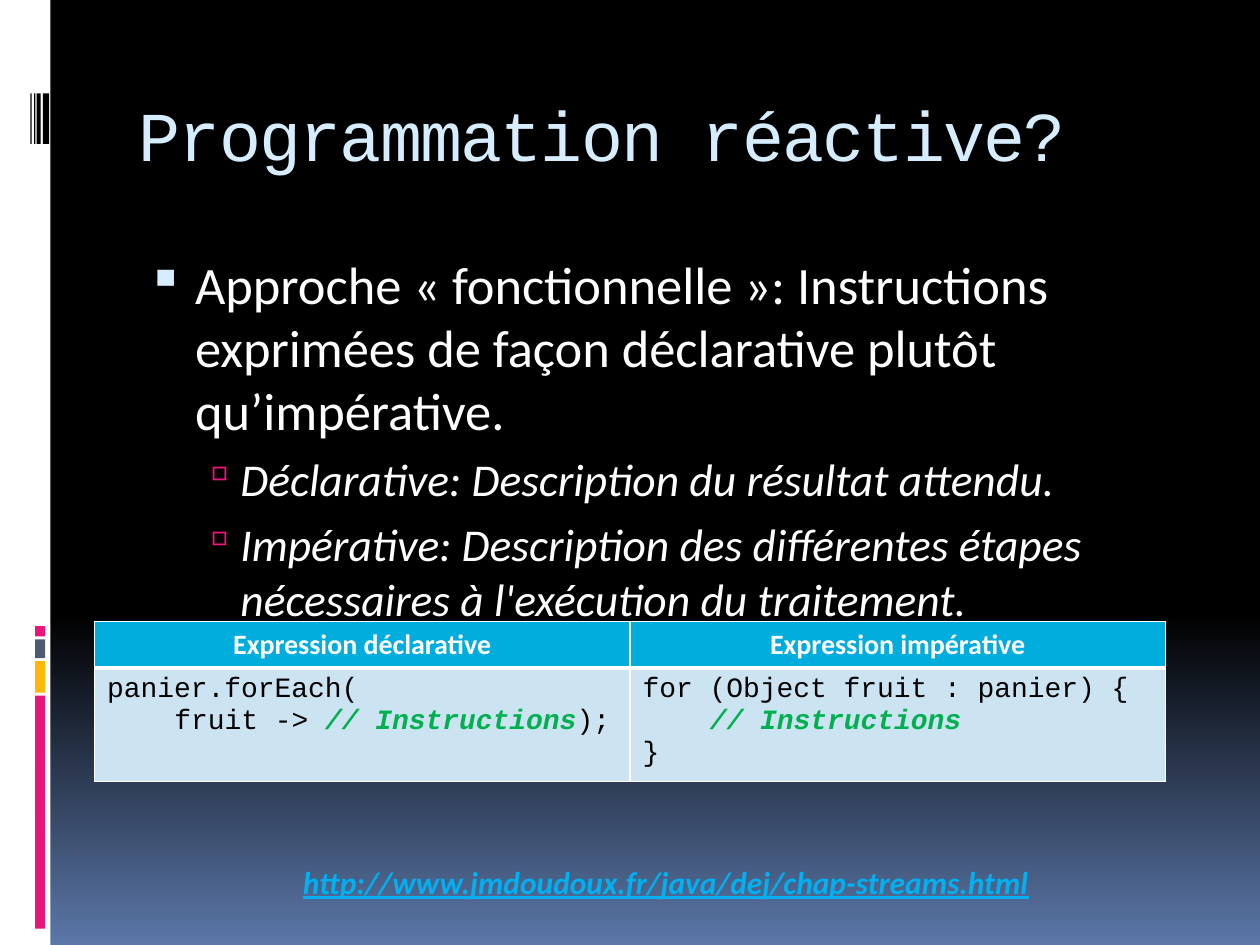
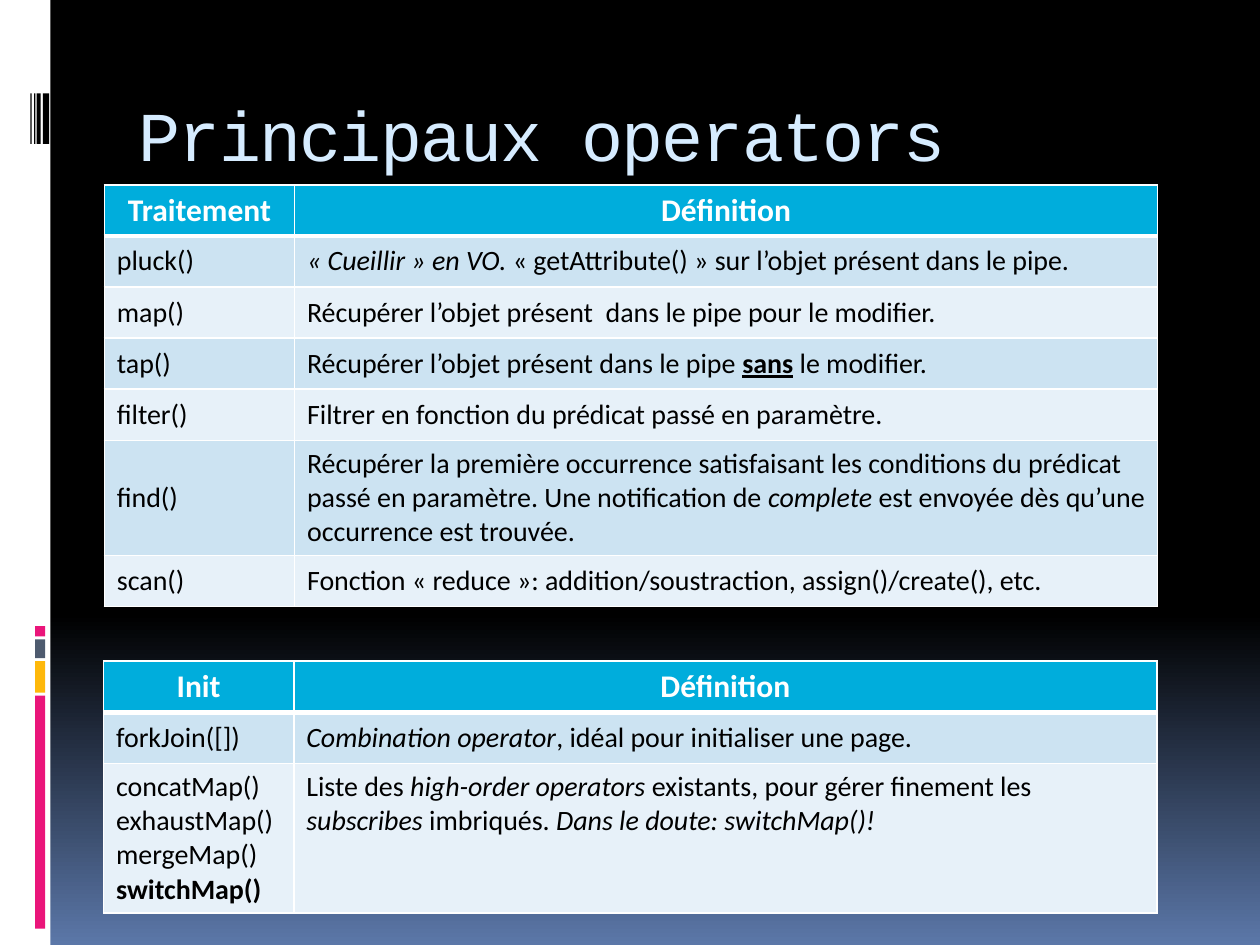
from dataclasses import dataclass
from typing import NamedTuple

from lxml.etree import SubElement
from pptx import Presentation
from pptx.dml.color import RGBColor
from pptx.enum.shapes import MSO_SHAPE
from pptx.enum.text import MSO_ANCHOR, MSO_AUTO_SIZE, PP_ALIGN
from pptx.oxml.ns import qn
from pptx.util import Pt


@dataclass(frozen=True)
class Theme:
    # Colours
    black: str = "000000"
    white: str = "FFFFFF"
    dusk: str = "5B77A8"
    ice: str = "D6ECFF"
    pink: str = "EA157A"
    amber: str = "FEB80A"
    slate: str = "4E5B6F"
    header: str = "00ADDC"
    rows: tuple = ("CCE3F2", "E7F1F9")
    comment: str = "00B050"
    link: str = "00B0F0"
    # Fonts and sizes
    text_font: str = "Calibri"
    code_font: str = "Courier New"
    title_size: float = 40
    point_size: float = 30
    detail_size: float = 26
    heading_size: float = 18
    cell_size: float = 16


class Box(NamedTuple):
    left: float
    top: float
    width: float
    height: float


THEME = Theme()
SLIDE = Box(0, 0, 720, 540)
TITLE = Box(72, 40.3, 612, 72)
ITALIC = {"italic": True}
BOLD = {"bold": True}
COMMENT = {"bold": True, "italic": True, "color": THEME.comment}
ROW_HEIGHT = 29.2
OPERATOR_COLUMNS = (108.7, 493.2)


def rgb(value):
    return RGBColor.from_string(value)


def points(box):
    return [Pt(length) for length in box]


def write(paragraph, pieces, align=PP_ALIGN.LEFT, before=0, indent=0, hanging=0,
          bullet=None, **base):
    """Write a string, or a list of strings and (string, format) pairs."""
    paragraph.alignment = align
    paragraph.space_before = Pt(before)
    properties = paragraph._p.get_or_add_pPr()
    properties.set("marL", str(Pt(indent)))
    properties.set("indent", str(Pt(-hanging)))
    if bullet:
        sign, color, percent = bullet
        tint = SubElement(properties, qn("a:buClr"))
        SubElement(tint, qn("a:srgbClr")).set("val", color)
        SubElement(properties, qn("a:buSzPct")).set("val", str(percent * 1000))
        SubElement(properties, qn("a:buChar")).set("char", sign)
    else:
        SubElement(properties, qn("a:buNone"))
    for piece in [pieces] if isinstance(pieces, str) else pieces:
        text, changes = (piece, {}) if isinstance(piece, str) else piece
        look = {"font": THEME.text_font, "color": THEME.white, **base, **changes}
        run = paragraph.add_run()
        run.text = text
        run.font.name = look["font"]
        run.font.size = Pt(look["size"])
        run.font.color.rgb = rgb(look["color"])
        run.font.bold = look.get("bold", False)
        run.font.italic = look.get("italic", False)
        run.font.underline = look.get("underline", False)
        if "spacing" in look:
            run._r.get_or_add_rPr().set("spc", str(look["spacing"] * 100))


def paragraphs_of(frame, count):
    return [frame.paragraphs[0], *(frame.add_paragraph() for _ in range(count - 1))]


def add_bar(slide, box, color):
    bar = slide.shapes.add_shape(MSO_SHAPE.RECTANGLE, *points(box))
    bar.shadow.inherit = False
    bar.fill.solid()
    bar.fill.fore_color.rgb = rgb(color)
    bar.line.fill.background()


def add_side_band(slide, box):
    add_bar(slide, box, THEME.white)
    # Coloured blocks, stacked downwards
    top, gap = box.top + 357.8, 1.7
    for color, height in ((THEME.pink, 5.8), (THEME.slate, 10.8),
                          (THEME.amber, 18), (THEME.pink, 133.2)):
        add_bar(slide, Box(box.left + 20, top, 5.8, height), color)
        top += height + gap
    # Barcode
    for offset, width in ((17.4, 0.7), (19.5, 0.7), (21, 2.2), (24.5, 3.6)):
        add_bar(slide, Box(box.left + offset, box.top + 53.4, width, 28.8), THEME.black)


def add_titled_slide(deck, heading):
    slide = deck.slides.add_slide(deck.slide_layouts[5])
    add_side_band(slide, SLIDE._replace(width=28.8))
    title = slide.shapes.title
    title.left, title.top, title.width, title.height = points(TITLE)
    frame = title.text_frame
    frame.word_wrap = True
    frame.auto_size = MSO_AUTO_SIZE.NONE
    frame.vertical_anchor = MSO_ANCHOR.MIDDLE
    write(frame.paragraphs[0], heading, font=THEME.code_font, size=THEME.title_size,
          color=THEME.ice, spacing=-1)
    return slide


def add_text_frame(slide, box):
    frame = slide.shapes.add_textbox(*points(box)).text_frame
    frame.word_wrap = True
    return frame


def add_points(slide, box, point, details):
    lines = paragraphs_of(add_text_frame(slide, box), 1 + len(details))
    write(lines[0], point, indent=32.4, hanging=27.4, size=THEME.point_size,
          bullet=("▪", THEME.ice, 95))
    for line, detail in zip(lines[1:], details):
        write(line, detail, before=6, indent=58.3, hanging=22.3, italic=True,
              size=THEME.detail_size, bullet=("▫", THEME.pink, 90))


def add_link_line(slide, box, address):
    frame = add_text_frame(slide, box)
    frame.margin_top = frame.margin_bottom = 0
    write(frame.paragraphs[0], address, align=PP_ALIGN.CENTER, size=THEME.heading_size,
          color=THEME.link, bold=True, italic=True, underline=True)


def style_cell(cell, fill, top, bottom):
    properties = cell._tc.get_or_add_tcPr()
    for side, width in (("L", 1), ("R", 1), ("T", top), ("B", bottom)):
        border = SubElement(properties, qn(f"a:ln{side}"), w=str(Pt(width)))
        paint = SubElement(border, qn("a:solidFill"))
        SubElement(paint, qn("a:srgbClr")).set("val", THEME.white)
    cell.fill.solid()
    cell.fill.fore_color.rgb = rgb(fill)


def add_grid(slide, left, top, widths, heights, headings, rows, fill_cell,
             heading_size=THEME.heading_size):
    """Add a table; fill_cell writes the content of each body cell."""
    box = Box(left, top, sum(widths), sum(heights))
    table = slide.shapes.add_table(len(heights), len(widths), *points(box)).table
    table.horz_banding = False
    for column, width in zip(table.columns, widths):
        column.width = Pt(width)
    for number, (row, height) in enumerate(zip(table.rows, heights)):
        row.height = Pt(height)
        for index, cell in enumerate(row.cells):
            if number == 0:
                style_cell(cell, THEME.header, 1, 3)
                cell.vertical_anchor = MSO_ANCHOR.MIDDLE
                write(cell.text_frame.paragraphs[0], headings[index], bold=True,
                      align=PP_ALIGN.CENTER, size=heading_size)
            else:
                style_cell(cell, THEME.rows[(number - 1) % 2], 3 if number == 1 else 1, 1)
                fill_cell(cell, rows[number - 1][index])


def fill_code(cell, lines):
    """Write code lines given as (indent level, pieces)."""
    for paragraph, (level, pieces) in zip(paragraphs_of(cell.text_frame, len(lines)), lines):
        write(paragraph, pieces, indent=level * 38.4, font=THEME.code_font,
              size=THEME.cell_size, color=THEME.black)


def fill_definition(cell, lines):
    """Write one paragraph per item; long lists of names set the row's height."""
    cell.vertical_anchor = MSO_ANCHOR.MIDDLE
    for paragraph, pieces in zip(paragraphs_of(cell.text_frame, len(lines)), lines):
        write(paragraph, pieces, size=THEME.cell_size, color=THEME.black)


def fill_init(cell, lines):
    fill_definition(cell, lines)
    if len(lines[0]) > 2 and not isinstance(lines[0], str):
        cell.vertical_anchor = MSO_ANCHOR.TOP


def build_reactive_slide(deck):
    slide = add_titled_slide(deck, "Programmation réactive?")
    add_points(
        slide, Box(72, 140.4, 612, 215),
        "Approche « fonctionnelle »: Instructions exprimées de façon déclarative "
        "plutôt qu’impérative.",
        ["Déclarative: Description du résultat attendu.",
         "Impérative: Description des différentes étapes nécessaires à l'exécution "
         "du traitement."])
    declarative = [(0, "panier.forEach("),
                   (1, ["fruit -> ", ("// Instructions", COMMENT), ");"])]
    imperative = [(0, "for (Object fruit : panier) {"),
                  (1, [("// Instructions", COMMENT)]),
                  (0, "}")]
    add_grid(slide, 54, 355, (306, 306), (26.8, 61.7),
             ("Expression déclarative", "Expression impérative"),
             [(declarative, imperative)], fill_code, heading_size=THEME.cell_size)
    add_link_line(slide, Box(77, 493, 607, 24),
                  "http://www.jmdoudoux.fr/java/dej/chap-streams.html")


def build_operators_slide(deck):
    slide = add_titled_slide(deck, "Principaux operators")
    # Processing operators
    treatments = [
        ("pluck()", [("« Cueillir » en VO. ", ITALIC),
                     "« getAttribute() » sur l’objet présent dans le pipe."]),
        ("map()", "Récupérer l’objet présent  dans le pipe pour le modifier."),
        ("tap()", ["Récupérer l’objet présent dans le pipe ",
                   ("sans", {"bold": True, "underline": True}), " le modifier."]),
        ("filter()", "Filtrer en fonction du prédicat passé en paramètre."),
        ("find()", ["Récupérer la première occurrence satisfaisant les conditions du "
                    "prédicat passé en paramètre. Une notification de ",
                    ("complete", ITALIC),
                    " est envoyée dès qu’une occurrence est trouvée."]),
        ("scan()", "Fonction « reduce »: addition/soustraction, assign()/create(), etc."),
    ]
    heights = [65.8 if name == "find()" else ROW_HEIGHT for name, _ in treatments]
    add_grid(slide, 59.6, 105.6, OPERATOR_COLUMNS, [ROW_HEIGHT, *heights],
             ("Traitement", "Définition"),
             [([name], [definition]) for name, definition in treatments], fill_definition)
    # Initialisation operators
    inits = [
        (["forkJoin([])"],
         [[("Combination operator", ITALIC), ", idéal pour initialiser une page."]]),
        (["concatMap()", "exhaustMap()", "mergeMap()", [("switchMap()", BOLD)]],
         [["Liste des ", ("high-order operators", ITALIC),
           " existants, pour gérer finement les ", ("subscribes", ITALIC),
           " imbriqués. ", ("Dans le doute: switchMap()!", ITALIC)]]),
    ]
    add_grid(slide, 59.2, 377.8, OPERATOR_COLUMNS, (ROW_HEIGHT, ROW_HEIGHT, 85.4),
             ("Init", "Définition"), inits, fill_init)


def paint_background(deck):
    fill = deck.slide_master.background.fill
    fill.gradient()
    fill.gradient_angle = 270
    for stop, position, color in zip(fill.gradient_stops, (0.65, 1),
                                     (THEME.black, THEME.dusk)):
        stop.position = position
        stop.color.rgb = rgb(color)


def main():
    deck = Presentation()
    deck.slide_width, deck.slide_height = Pt(SLIDE.width), Pt(SLIDE.height)
    paint_background(deck)
    build_reactive_slide(deck)
    build_operators_slide(deck)
    deck.save("out.pptx")


if __name__ == "__main__":
    main()
